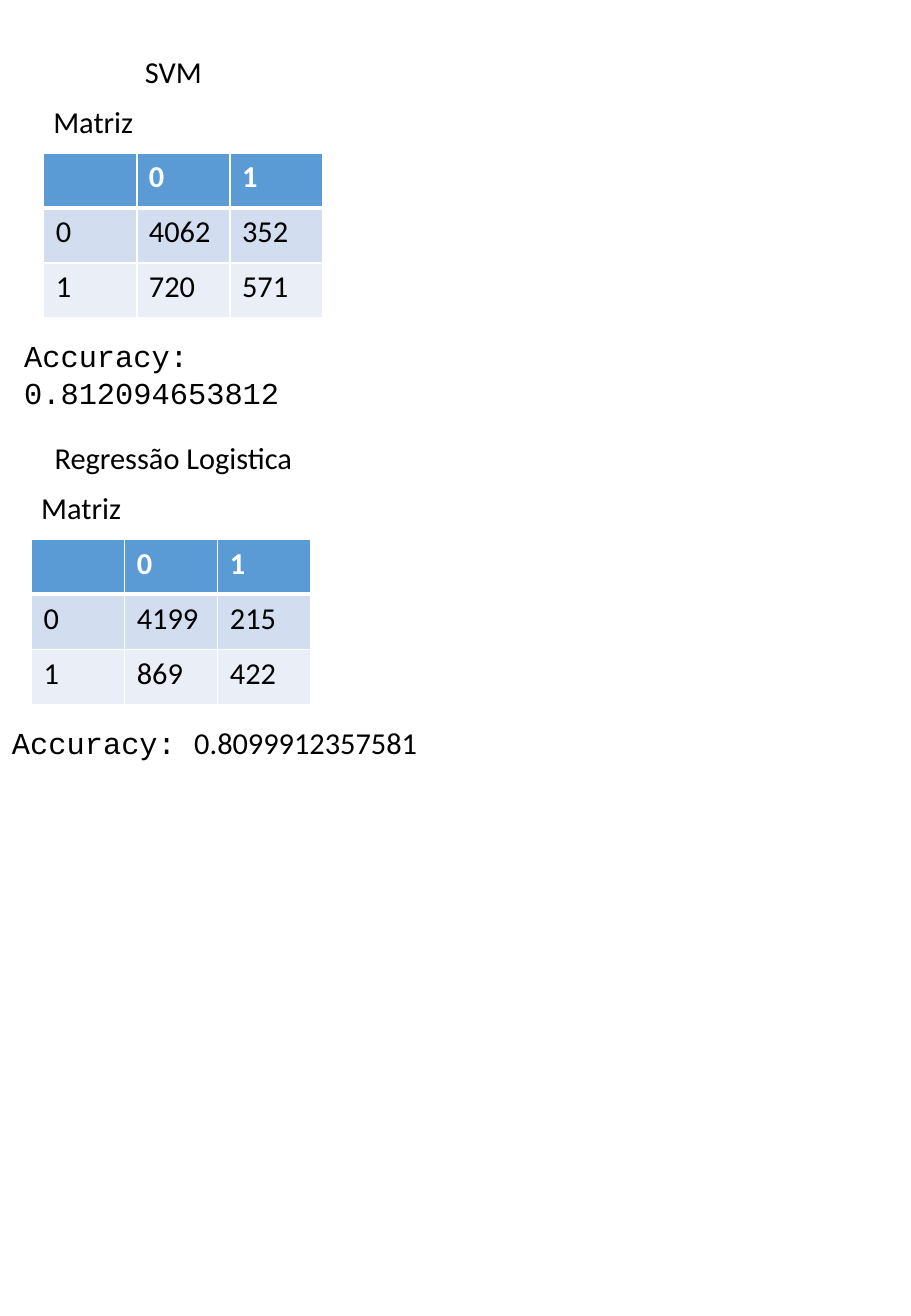
from dataclasses import dataclass

from lxml import etree
from pptx import Presentation
from pptx.dml.color import RGBColor
from pptx.enum.text import MSO_ANCHOR, MSO_AUTO_SIZE, PP_ALIGN
from pptx.oxml.ns import qn
from pptx.util import Pt

CENTER, LEFT = PP_ALIGN.CENTER, PP_ALIGN.LEFT
TOP = MSO_ANCHOR.TOP
GROW = MSO_AUTO_SIZE.SHAPE_TO_FIT_TEXT
TITLE_ONLY = 5


@dataclass(frozen=True)
class Theme:
    sans: str = "Calibri"
    mono: str = "Courier New"
    size: float = 18
    text: str = "000000"
    light: str = "FFFFFF"
    row_fills: tuple = ("5B9BD5", "D2DEEF", "EAEFF7")
    thin: float = 1
    thick: float = 3


THEME = Theme()

# Layout, in points
HEADING_CENTER = 102.8
LINE_HEIGHT = 29
LABEL_OFFSET = (17.3, 29.5)
TABLE_OFFSET = (18.7, 62.6)
ACCURACY_OFFSET = 168.5
LABEL_WIDTH = 157
ACCURACY_WIDTH = 270
COLUMN_WIDTH = 55.2
ROW_HEIGHT = 32.6

# Each model: left, top, heading, heading width, matrix counts, accuracy runs
MODELS = (
    (7.2, 28, "SVM", 107.3, (("4062", "352"), ("720", "571")),
     (("Accuracy: 0.812094653812", THEME.mono),)),
    (0, 257, "Regressão Logistica", 164.2, (("4199", "215"), ("869", "422")),
     (("Accuracy: ", THEME.mono), ("0.8099912357581", THEME.sans))),
)


def add_text(paragraph, text, font=THEME.sans, color=THEME.text, bold=False, align=LEFT):
    paragraph.alignment = align
    run = paragraph.add_run()
    run.text = text
    run.font.name = font
    run.font.size = Pt(THEME.size)
    run.font.bold = bold
    run.font.color.rgb = RGBColor.from_string(color)


def place_text(shape, left, top, width):
    """Set the frame of a text shape and return its first paragraph."""
    shape.left, shape.top = Pt(left), Pt(top)
    shape.width, shape.height = Pt(width), Pt(LINE_HEIGHT)
    frame = shape.text_frame
    frame.word_wrap = True
    frame.auto_size = GROW
    frame.vertical_anchor = TOP
    paragraph = frame.paragraphs[0]
    paragraph.line_spacing = 1.0
    paragraph.space_before = Pt(0)
    return paragraph


def add_text_box(slide, left, top, width):
    box = slide.shapes.add_textbox(Pt(left), Pt(top), Pt(width), Pt(LINE_HEIGHT))
    return place_text(box, left, top, width)


def set_borders(cell, **widths):
    properties = cell._tc.get_or_add_tcPr()
    for side in "LRTB":
        width = widths.get(side, THEME.thin)
        line = etree.SubElement(properties, qn(f"a:ln{side}"), w=str(Pt(width)))
        fill = etree.SubElement(line, qn("a:solidFill"))
        etree.SubElement(fill, qn("a:srgbClr"), val=THEME.light)


def add_matrix(slide, left, top, counts):
    rows = [("", "0", "1")]
    rows += [(str(label), *values) for label, values in enumerate(counts)]
    size = len(rows)
    table = slide.shapes.add_table(
        size, size, Pt(left), Pt(top), Pt(COLUMN_WIDTH * size), Pt(ROW_HEIGHT * size)).table
    for column in table.columns:
        column.width = Pt(COLUMN_WIDTH)
    for row_index, values in enumerate(rows):
        table.rows[row_index].height = Pt(ROW_HEIGHT)
        header = row_index == 0
        for column_index, value in enumerate(values):
            cell = table.cell(row_index, column_index)
            set_borders(cell, B=THEME.thick if header else THEME.thin,
                        T=THEME.thick if row_index == 1 else THEME.thin)
            cell.fill.solid()
            cell.fill.fore_color.rgb = RGBColor.from_string(THEME.row_fills[row_index])
            if value:
                add_text(cell.text_frame.paragraphs[0], value, bold=header,
                         color=THEME.light if header else THEME.text)


def add_model(slide, left, top, heading, heading_width, counts, accuracy):
    # Heading: the first model takes the title placeholder
    heading_left = HEADING_CENTER - heading_width / 2
    title = slide.shapes.title
    if title.has_text_frame and not title.text_frame.text:
        paragraph = place_text(title, heading_left, top, heading_width)
    else:
        paragraph = add_text_box(slide, heading_left, top, heading_width)
    add_text(paragraph, heading, align=CENTER)

    # Confusion matrix and its label
    add_matrix(slide, left + TABLE_OFFSET[0], top + TABLE_OFFSET[1], counts)
    label = add_text_box(slide, left + LABEL_OFFSET[0], top + LABEL_OFFSET[1], LABEL_WIDTH)
    add_text(label, "Matriz")

    # Accuracy
    paragraph = add_text_box(slide, left, top + ACCURACY_OFFSET, ACCURACY_WIDTH)
    for text, font in accuracy:
        add_text(paragraph, text, font=font)


def main():
    presentation = Presentation()
    presentation.slide_width, presentation.slide_height = Pt(540), Pt(780)
    slide = presentation.slides.add_slide(presentation.slide_layouts[TITLE_ONLY])
    for model in MODELS:
        add_model(slide, *model)
    presentation.save("out.pptx")


if __name__ == "__main__":
    main()
